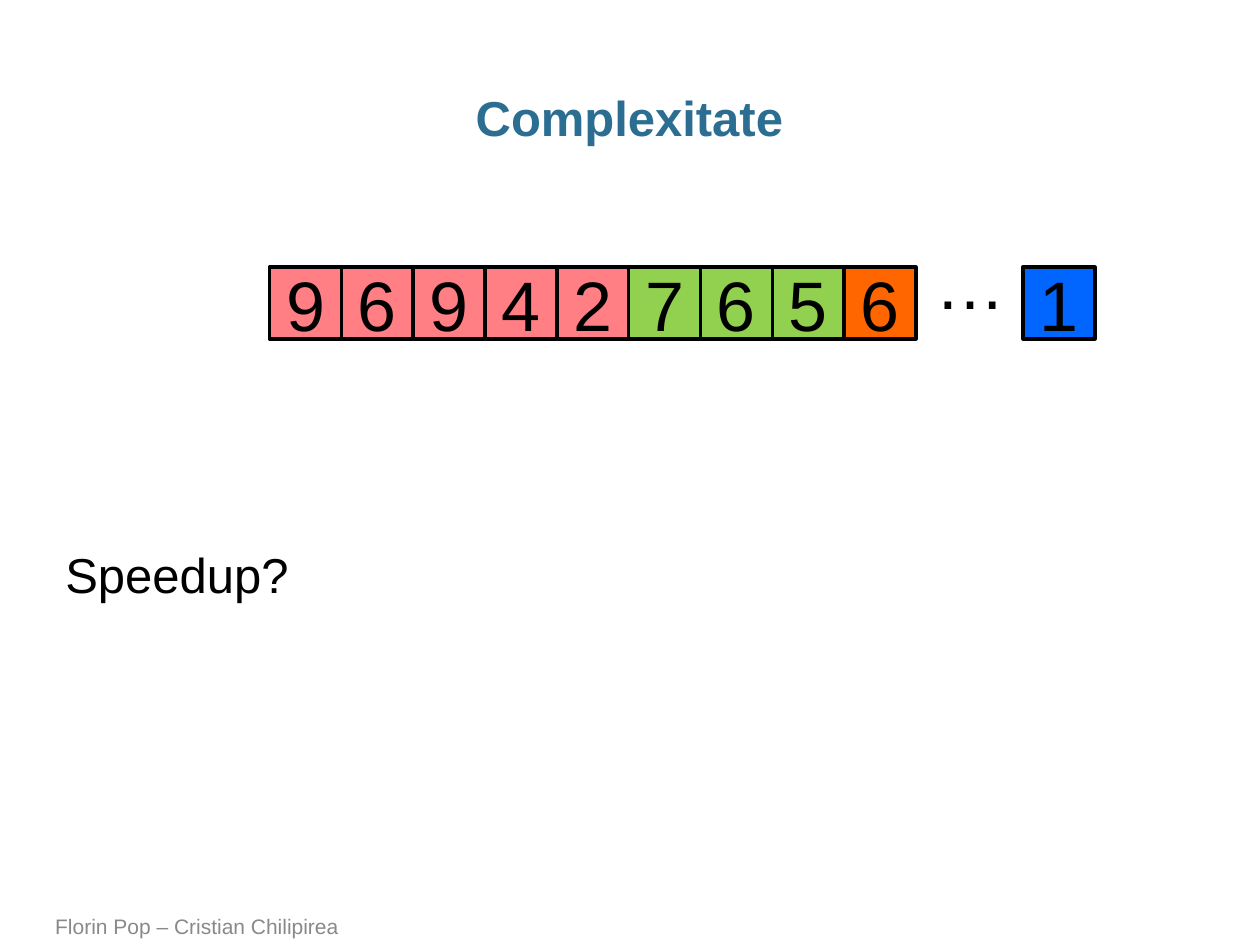
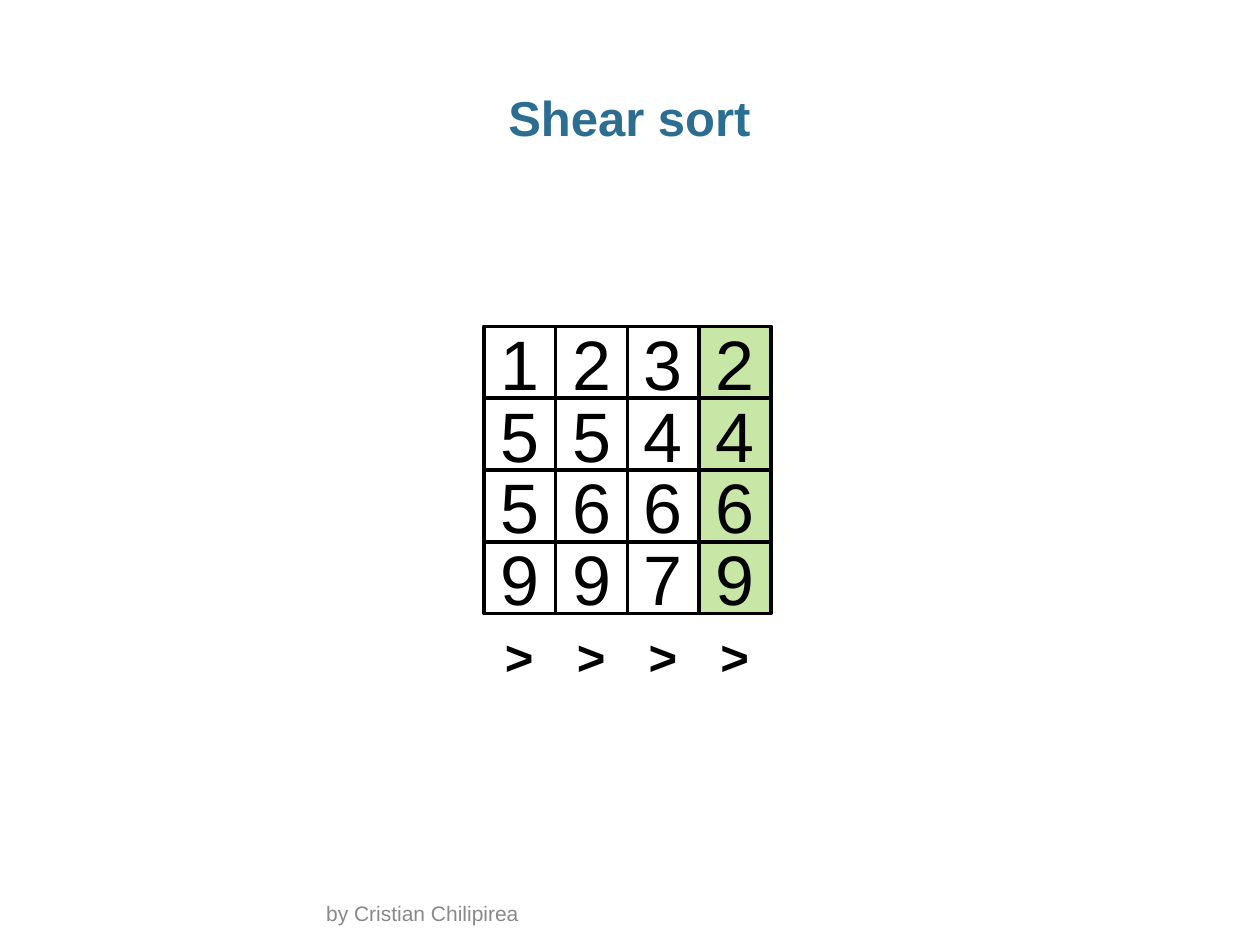
from lxml.etree import SubElement
from pptx import Presentation
from pptx.dml.color import RGBColor
from pptx.enum.shapes import MSO_SHAPE
from pptx.enum.text import MSO_ANCHOR, MSO_AUTO_SIZE, PP_ALIGN
from pptx.oxml.ns import qn
from pptx.util import Inches, Pt

# Shared look; the slide is a grid of 100 columns by 75 rows
COLORS = {
    "title": "2C6D92", "foot": "898989", "ink": "000000",
    "red": "FF7F85", "green": "92D050", "orange": "FF6600", "blue": "0066FF",
}
FONT = "Arial"
WIDE, HIGH = Inches(10), Inches(7.5)
COLS, ROWS = 100, 75
CELL = 5.7


def color(name):
    return RGBColor.from_string(COLORS[name])


def area(col, row, cols, rows):
    """Turn grid columns and rows into left, top, width and height."""
    return (round(WIDE * col / COLS), round(HIGH * row / ROWS),
            round(WIDE * cols / COLS), round(HIGH * rows / ROWS))


def write(frame, text, size, tint="ink", bold=False, align=PP_ALIGN.LEFT):
    par = frame.paragraphs[0]
    par.alignment = align
    run = par.add_run()
    run.text = text
    font = run.font
    font.name, font.size, font.bold = FONT, Pt(size), bold
    font.color.rgb = color(tint)
    return par


def add_page(deck, text):
    """Add a title-only slide and format its title."""
    page = deck.slides.add_slide(deck.slide_layouts[5])
    title = page.shapes.title
    title.left, title.top, title.width, title.height = area(3.4, 6.8, 93.1, 5)
    frame = title.text_frame
    frame.auto_size = MSO_AUTO_SIZE.NONE
    frame.vertical_anchor = MSO_ANCHOR.TOP
    frame.margin_left = frame.margin_right = 0
    frame.margin_top = frame.margin_bottom = Inches(0.05)
    par = write(frame, text, 28, "title", True, PP_ALIGN.CENTER)
    par.line_spacing = 0.95
    return page


def add_foot(page, text, *place):
    frame = page.shapes.add_textbox(*area(*place)).text_frame
    frame.word_wrap = True
    frame.vertical_anchor = MSO_ANCHOR.BOTTOM
    write(frame, text, 12, "foot")


def add_label(page, text, size, *place, bold=False):
    frame = page.shapes.add_textbox(*area(*place)).text_frame
    frame.word_wrap = False
    frame.auto_size = MSO_AUTO_SIZE.SHAPE_TO_FIT_TEXT
    write(frame, text, size, bold=bold)


def add_cell(page, digit, col, row, tint=None, alpha=100):
    """Add one framed digit; without a tint it stays unfilled."""
    cell = page.shapes.add_shape(MSO_SHAPE.RECTANGLE, *area(col, row, CELL, CELL))
    cell.shadow.inherit = False
    cell.line.color.rgb = color("ink")
    cell.line.width = Pt(2)
    if tint:
        cell.fill.solid()
        cell.fill.fore_color.rgb = color(tint)
        if alpha < 100:
            fill = cell.fill._xPr.find(qn("a:solidFill"))
            SubElement(fill[0], qn("a:alpha"), val=str(alpha * 1000))
    else:
        cell.fill.background()
    cell.text_frame.vertical_anchor = MSO_ANCHOR.MIDDLE
    write(cell.text_frame, digit, 40, align=PP_ALIGN.CENTER)


def draw_cost(deck):
    page = add_page(deck, "Complexitate")
    add_foot(page, "Florin Pop – Cristian Chilipirea", 3.4, 72.2, 73.7, 2.8)
    add_label(page, "Speedup?", 28, 4.2, 42.7, 20, 5.7)

    # Row of digits, coloured by group
    left, top = 21.4, 21.2
    tints = ["red"] * 5 + ["green"] * 3 + ["orange"]
    for step, (digit, tint) in enumerate(zip("969427656", tints)):
        add_cell(page, digit, left + step * CELL, top, tint)
    add_cell(page, "1", 81.2, top, "blue")
    add_label(page, "…", 40, 73.3, 18.5, 7.6, 7.7)


def draw_sort(deck):
    page = add_page(deck, "Shear sort")
    add_foot(page, "by Cristian Chilipirea", 24.9, 71.6, 50.2, 2.4)

    # Matrix with its last column marked
    left, top = 38.4, 25.9
    for row, digits in enumerate(["1232", "5544", "5666", "9979"]):
        for col, digit in enumerate(digits):
            tint = "green" if col == 3 else None
            add_cell(page, digit, left + col * CELL, top + row * CELL, tint, 50)

    # Sort direction under each column
    for col in range(4):
        add_label(page, ">", 28, left + 0.7 + col * CELL, 49.2, 4.3, 5.7, bold=True)


def main():
    deck = Presentation()
    deck.slide_width, deck.slide_height = WIDE, HIGH
    draw_cost(deck)
    draw_sort(deck)
    deck.save("out.pptx")


if __name__ == "__main__":
    main()
